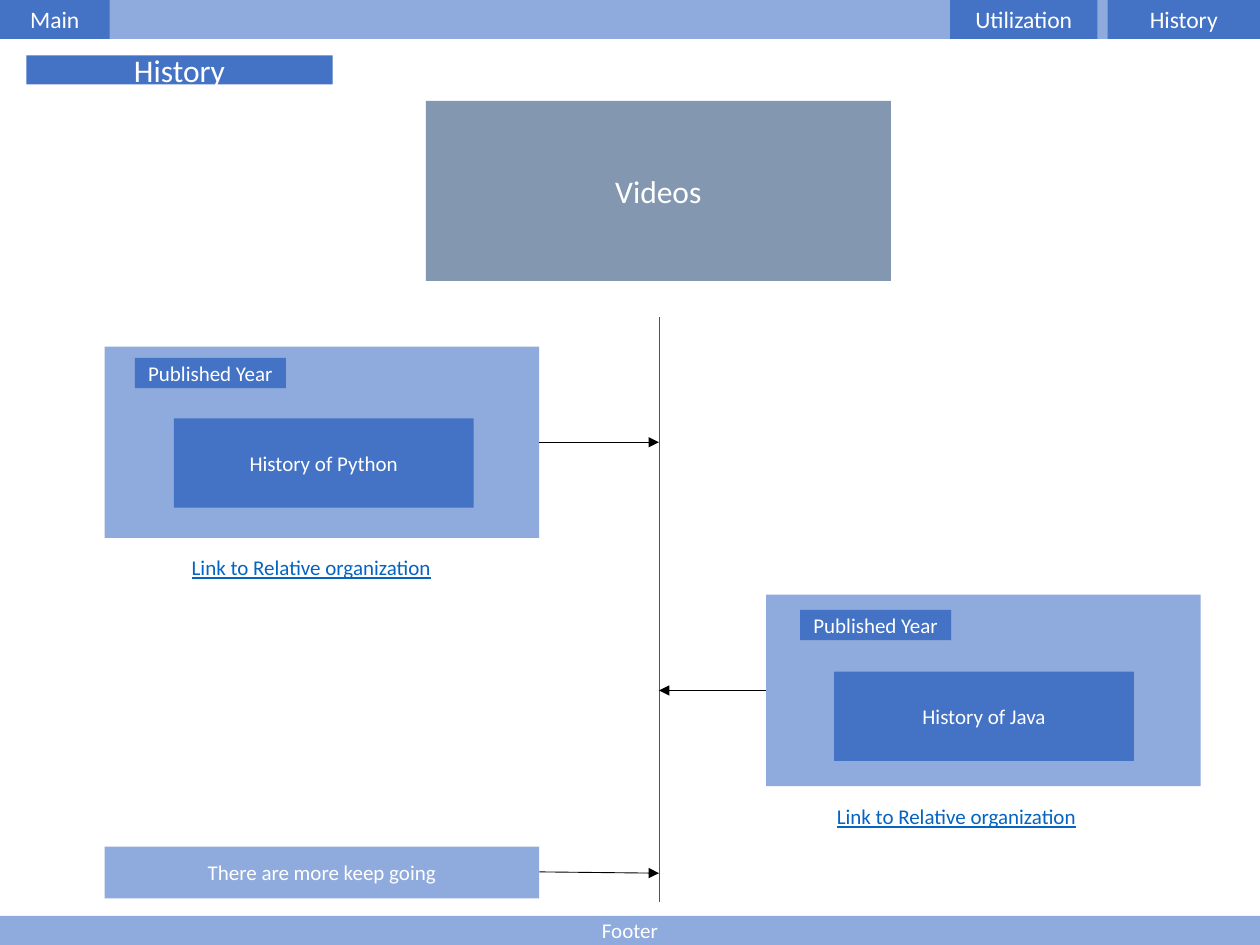
from lxml import etree
from pptx import Presentation
from pptx.dml.color import RGBColor
from pptx.enum import shapes as kinds, text as txt
from pptx.oxml import ns
from pptx.util import Inches, Pt

BLUE = RGBColor(0x44, 0x72, 0xC4)
PALE = RGBColor(0x8F, 0xAA, 0xDC)
GRAY = RGBColor(0x84, 0x97, 0xB0)
SLATE = RGBColor(0x44, 0x54, 0x6A)
LINK = RGBColor(0x05, 0x63, 0xC1)
WHITE = RGBColor(0xFF, 0xFF, 0xFF)
BLACK = RGBColor(0, 0, 0)


def write(shape, words, size=12, color=WHITE, under=None, pad=(0.1, 0.05)):
    frame = shape.text_frame
    frame.word_wrap = True
    frame.auto_size = txt.MSO_AUTO_SIZE.NONE
    frame.vertical_anchor = txt.MSO_ANCHOR.MIDDLE
    frame.margin_left = frame.margin_right = Inches(pad[0])
    frame.margin_top = frame.margin_bottom = Inches(pad[1])
    para = frame.paragraphs[0]
    para.alignment = txt.PP_ALIGN.CENTER
    run = para.add_run()
    run.text = words
    run.font.name = "Calibri"
    run.font.size = Pt(size)
    run.font.color.rgb = color
    run.font.underline = under


def box(left, top, width, height, fill, words="", **style):
    rect = slide.shapes.add_shape(
        kinds.MSO_SHAPE.RECTANGLE,
        Inches(left), Inches(top), Inches(width), Inches(height))
    rect.shadow.inherit = False
    rect.fill.solid()
    rect.fill.fore_color.rgb = fill
    rect.line.fill.background()
    if words:
        write(rect, words, **style)


deck = Presentation()
deck.slide_width, deck.slide_height = Inches(10), Inches(7.5)
slide = deck.slides.add_slide(deck.slide_layouts[5])

title = slide.shapes.title
title.left, title.top = Inches(0.21), Inches(0.44)
title.width, title.height = Inches(2.43), Inches(0.23)
title.fill.solid()
title.fill.fore_color.rgb = BLUE
write(title, "History", size=18)

box(0, 0, 10, 0.31, PALE)
for left, width, words in [(0, 0.87, "Main"), (7.54, 1.17, "Utilization"),
                           (8.79, 1.21, "History")]:
    box(left, 0, width, 0.31, BLUE, words, size=13.5, pad=(0.07, 0.04))

box(3.38, 0.8, 3.69, 1.43, GRAY, "Videos", size=18)

cards = [
    ("Python", (0.83, 2.75), (1.07, 2.84), (1.38, 3.32), (1.28, 4.33)),
    ("Java", (6.08, 4.72), (6.35, 4.84), (6.62, 5.33), (6.4, 6.31)),
]
for name, card, year, topic, link in cards:
    box(*card, 3.45, 1.52, PALE)
    box(*year, 1.2, 0.24, BLUE, "Published Year")
    box(*topic, 2.38, 0.71, BLUE, f"History of {name}")
    label = slide.shapes.add_textbox(
        Inches(link[0]), Inches(link[1]), Inches(2.38), Inches(0.34))
    write(label, "Link to Relative organization", color=LINK, under=True)

box(0.83, 6.72, 3.45, 0.41, PALE, "There are more keep going")
box(0, 7.27, 10, 0.23, PALE, "Footer")

axis = 5.23
lines = [
    (axis, 2.52, 7.16, SLATE, False),
    (4.28, 3.51, 3.51, BLACK, True),
    (6.08, 5.48, 5.48, BLACK, True),
    (4.28, 6.92, 6.93, BLACK, True),
]
for start, top, end, color, arrow in lines:
    line = slide.shapes.add_connector(
        kinds.MSO_CONNECTOR.STRAIGHT,
        Inches(start), Inches(top), Inches(axis), Inches(end))
    line.line.color.rgb = color
    line.line.width = Pt(0.5)
    props = line._element.spPr
    if arrow:
        etree.SubElement(props.find(ns.qn("a:ln")), ns.qn("a:tailEnd"),
                         type="triangle")
    etree.SubElement(props, ns.qn("a:effectLst"))

deck.save("out.pptx")
